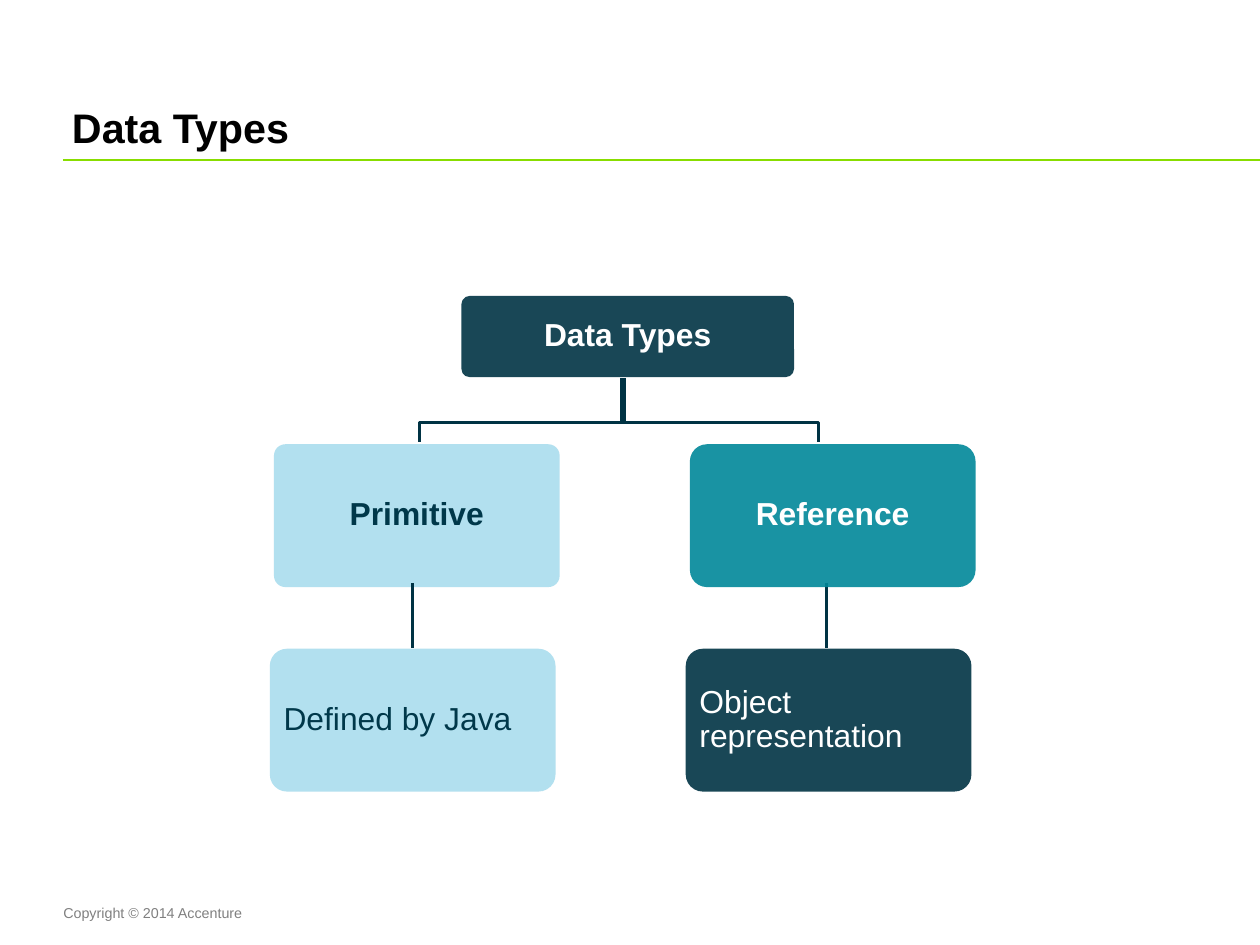
import pptx
import pptx.util
import pptx.dml.color
import pptx.enum.shapes
import pptx.enum.text
import pptx.oxml
import pptx.oxml.ns

Pt = pptx.util.Pt
qn = pptx.oxml.ns.qn
ALIGN = pptx.enum.text.PP_ALIGN
ANCHOR = pptx.enum.text.MSO_ANCHOR
SHAPE = pptx.enum.shapes.MSO_SHAPE
SLIDE_W, SLIDE_H = 793.75, 595.25


def rgb(code):
    return pptx.dml.color.RGBColor.from_string(code)


def write(sp, text, size=20, color="000000", bold=False, align=ALIGN.LEFT,
          anchor=ANCHOR.MIDDLE, inset=(0, 0), spacing=None, after=None):
    """Fill a shape with one paragraph; inset is (horizontal, vertical)."""
    tf = sp.text_frame
    tf.word_wrap = True
    tf.vertical_anchor = anchor
    tf.margin_left = tf.margin_right = Pt(inset[0])
    tf.margin_top = tf.margin_bottom = Pt(inset[1])
    p = tf.paragraphs[0]
    p.alignment = align
    if spacing:
        p.line_spacing = spacing
    if after:
        p.space_after = Pt(after)
    r = p.add_run()
    r.text = text
    r.font.name = "Arial"
    r.font.size = Pt(size)
    r.font.bold = bold
    r.font.color.rgb = rgb(color)


class Diagram:
    """The current slide and the style of its tree."""
    DARK, PALE, TEAL = "003344", "AADDEE", "008899"
    INK, WHITE, GREEN, GRAY = "00384A", "FFFFFF", "88DD00", "808080"
    OPACITY = 90

    def __init__(self, s):
        self.s = s

    def label(self, text, x, y, w, h, **fmt):
        write(self.s.shapes.add_textbox(Pt(x), Pt(y), Pt(w), Pt(h)), text, **fmt)

    def rule(self, x1, x2, y):
        c = self.s.shapes.add_connector(
            pptx.enum.shapes.MSO_CONNECTOR.STRAIGHT, Pt(x1), Pt(y), Pt(x2), Pt(y))
        c.line.color.rgb = rgb(self.GREEN)
        c.line.width = Pt(1)
        props = c._element.spPr
        props.append(props.makeelement(qn("a:effectLst"), {}))

    def link(self, *points):
        (x, y), *rest = [(Pt(a), Pt(b)) for a, b in points]
        fb = self.s.shapes.build_freeform(x, y)
        fb.add_line_segments(rest, close=False)
        sp = fb.convert_to_shape()
        sp.shadow.inherit = False
        sp.fill.background()
        sp.line.color.rgb = rgb(self.DARK)
        sp.line.width = Pt(2)

    def node(self, text, x, y, w, h, fill, color, radius=0.12, **fmt):
        sp = self.s.shapes.add_shape(
            SHAPE.ROUNDED_RECTANGLE, Pt(x), Pt(y), Pt(w), Pt(h))
        sp.adjustments[0] = radius
        sp.shadow.inherit = False
        sp.line.fill.background()
        sp.fill.solid()
        sp.fill.fore_color.rgb = rgb(fill)
        tint = sp._element.spPr.find(".//" + qn("a:srgbClr"))
        tint.append(tint.makeelement(qn("a:alpha"), {"val": str(self.OPACITY * 1000)}))
        write(sp, text, color=color, inset=(5.5, 5.5), spacing=0.9, after=7, **fmt)


def main():
    prs = pptx.Presentation()
    prs.slide_width, prs.slide_height = Pt(SLIDE_W), Pt(SLIDE_H)
    d = Diagram(prs.slides.add_slide(prs.slide_layouts[6]))

    d.rule(39.6, SLIDE_W, 100.8)
    d.label("Copyright © 2014 Accenture", 32.8, 566.2, 724.3, 18, size=9,
            color=d.GRAY, anchor=ANCHOR.TOP, inset=(7.2, 3.6))
    d.label("Data Types", 45.36, 45.36, 714.2, 69.8, size=26, bold=True)

    box_w, box_h = 180, 90
    kind_y, detail_y = 279.8, 408.6
    stem_y, bar_y, drop_y = 238.3, 266.1, 278.6
    link_y, link_end = 367.2, 408.2
    primitive_x, reference_x = 172.6, 434.6
    detail_shift = 2.6
    heading = dict(bold=True, align=ALIGN.CENTER)

    d.link((520.6, link_y), (520.6, link_end))
    for stem_x, drop_x in ((391.4, 515.5), (393.4, 264.2)):
        d.link((stem_x, stem_y), (stem_x, bar_y), (drop_x, bar_y), (drop_x, drop_y))

    d.node("Data Types", 290.7, 186.4, 209.5, 51.1, d.DARK, d.WHITE,
           radius=0.1, **heading)
    d.node("Primitive", primitive_x, kind_y, box_w, box_h, d.PALE, d.INK,
           radius=0.08, **heading)
    d.node("Defined by Java", primitive_x - detail_shift, detail_y, box_w, box_h,
           d.PALE, d.INK)
    d.node("Reference", reference_x, kind_y, box_w, box_h, d.TEAL, d.WHITE, **heading)
    d.node("Object representation", reference_x - detail_shift, detail_y, box_w, box_h,
           d.DARK, d.WHITE)
    d.link((259.9, link_y), (259.9, link_end))

    prs.save("out.pptx")


if __name__ == "__main__":
    main()
